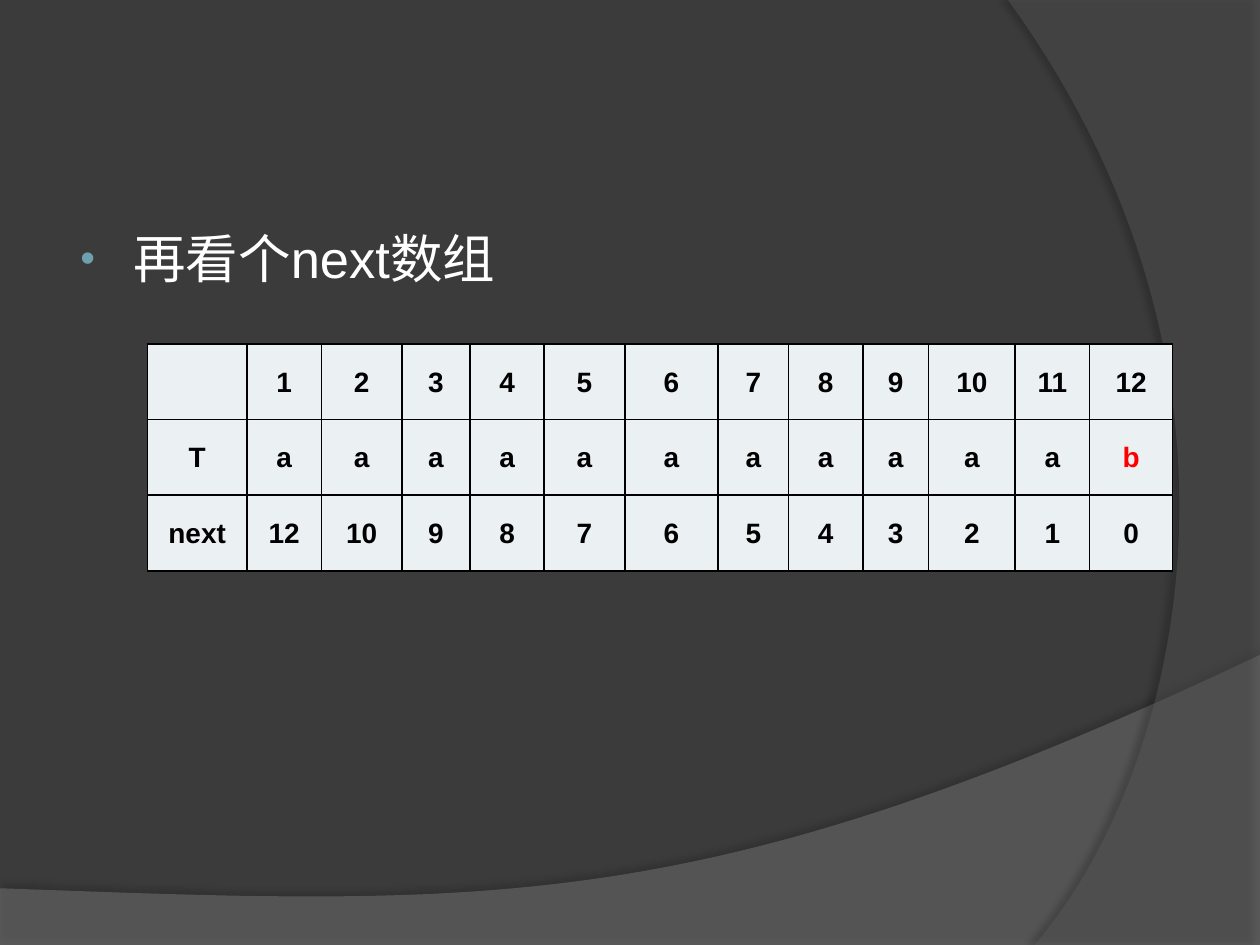
from lxml import etree
from pptx import Presentation
from pptx import util as u
from pptx.dml.color import RGBColor
from pptx.enum import text
from pptx.oxml import ns

WIDTH, HEIGHT = u.Inches(10), u.Inches(7.5)
FONT = "Arial"
BACKGROUND = RGBColor(0x3B, 0x3B, 0x3B)
HILL = RGBColor(0x7F, 0x7F, 0x7F)
ARC = RGBColor(0x5E, 0x5E, 0x5E)
BULLET = RGBColor(0x6E, 0xA0, 0xB0)
CELL = RGBColor(0xEB, 0xF0, 0xF2)
WHITE = RGBColor(0xFF, 0xFF, 0xFF)
BLACK = RGBColor(0, 0, 0)
RED = RGBColor(0xFF, 0, 0)

COLUMN_PERCENTS = [7.9, 5.9, 6.4, 5.4, 5.9, 6.4, 7.4, 5.6, 5.9, 5.2, 6.9, 5.9, 6.6]
ROWS = [
    ["", *range(1, 13)],
    ["T", *"a" * 11, "b"],
    ["next", 12, *range(10, -1, -1)],
]


def across(share):
    return u.Emu(round(WIDTH * share))


def down(share):
    return u.Emu(round(HEIGHT * share))


def add_node(parent, tag, **attributes):
    node = etree.SubElement(parent, ns.qn(tag))
    for name, value in attributes.items():
        node.set(name, str(value))
    return node


def add_color(parent, color, opacity=100):
    node = add_node(parent, "a:srgbClr", val=color)
    if opacity < 100:
        add_node(node, "a:alpha", val=opacity * 1000)


def curve(start, pull, push, end, steps=60):
    points = []
    for step in range(steps + 1):
        t = step / steps
        weights = ((1 - t) ** 3, 3 * t * (1 - t) ** 2, 3 * t * t * (1 - t), t ** 3)
        points.append(tuple(
            sum(w * p for w, p in zip(weights, axis))
            for axis in zip(start, pull, push, end)
        ))
    return points


def add_wave(slide, outline, color, opacity, shade, blur, distance, angle):
    points = [(across(x), down(y)) for x, y in outline]
    builder = slide.shapes.build_freeform(*points[0], scale=1.0)
    builder.add_line_segments(points[1:], close=True)
    wave = builder.convert_to_shape()
    wave.fill.solid()
    wave.fill.fore_color.rgb = color
    add_node(wave.fill._xPr.find(".//" + ns.qn("a:srgbClr")), "a:alpha", val=opacity * 1000)
    wave.line.fill.background()
    wave.shadow.inherit = False
    effects = wave._element.spPr.find(ns.qn("a:effectLst"))
    shadow = add_node(effects, "a:outerShdw", blurRad=u.Pt(blur), dist=u.Pt(distance),
                      dir=angle * 60000, algn="ctr", rotWithShape=0)
    add_color(shadow, BLACK, shade)


def add_bullet_text(slide, wording):
    body = slide.shapes.add_textbox(across(0.05), down(0.233), across(0.817), down(0.66))
    body.text_frame.word_wrap = True
    point = body.text_frame.paragraphs[0]
    point.text = wording
    point.font.name, point.font.size = FONT, u.Pt(30)
    point.font.color.rgb = WHITE
    point.space_before = u.Pt(6)
    properties = point._p.get_or_add_pPr()
    properties.set("marL", str(across(0.046)))
    properties.set("indent", str(-across(0.042)))
    marks = [etree.Element(ns.qn(tag)) for tag in ("a:buClr", "a:buSzPct", "a:buFont", "a:buChar")]
    add_color(marks[0], BULLET)
    marks[1].set("val", "80000")
    marks[2].set("typeface", FONT)
    marks[3].set("char", "•")
    defaults = properties.find(ns.qn("a:defRPr"))
    for mark in marks:
        defaults.addprevious(mark)


def add_borders(cell):
    properties = cell._tc.get_or_add_tcPr()
    for position, side in enumerate(("a:lnL", "a:lnR", "a:lnT", "a:lnB")):
        border = add_node(properties, side, w=u.Pt(1))
        add_color(add_node(border, "a:solidFill"), BLACK)
        properties.insert(position, border)


def fill_cell(cell, value):
    cell.fill.solid()
    cell.fill.fore_color.rgb = CELL
    cell.vertical_anchor = text.MSO_ANCHOR.MIDDLE
    cell.margin_left = cell.margin_right = cell.margin_top = u.Inches(0.01)
    cell.margin_bottom = 0
    entry = cell.text_frame.paragraphs[0]
    entry.text = str(value)
    entry.alignment = text.PP_ALIGN.CENTER
    entry.font.name, entry.font.size, entry.font.bold = FONT, u.Pt(16), True
    entry.font.color.rgb = RED if value == "b" else BLACK
    add_borders(cell)


def add_next_table(slide):
    row_height = down(0.08)
    table = slide.shapes.add_table(
        len(ROWS), len(COLUMN_PERCENTS), across(0.117), down(0.364),
        across(sum(COLUMN_PERCENTS) / 100), row_height * len(ROWS)).table
    table.first_row = table.horz_banding = False
    for column, percent in zip(table.columns, COLUMN_PERCENTS):
        column.width = across(percent / 100)
    for row, values in zip(table.rows, ROWS):
        row.height = row_height
        for cell, value in zip(row.cells, values):
            fill_cell(cell, value)


def main():
    deck = Presentation()
    deck.slide_width, deck.slide_height = WIDTH, HEIGHT
    slide = deck.slides.add_slide(deck.slide_layouts[6])
    slide.background.fill.solid()
    slide.background.fill.fore_color.rgb = BACKGROUND
    hill = [(0, 0.94), (0, 1), (1, 1),
            *curve((1, 0.693), (0.559, 0.972), (0.391, 0.959), (0, 0.94))]
    arc = [(1, 0), (1, 1), *curve((0.821, 1), (0.935, 0.825), (1.018, 0.4), (0.8, 0))]
    add_wave(slide, hill, HILL, 45, 35, 4, 3.5, 270)
    add_wave(slide, arc, ARC, 40, 45, 4, 4, 180)
    add_bullet_text(slide, "再看个next数组")
    add_next_table(slide)
    deck.save("out.pptx")


if __name__ == "__main__":
    main()
